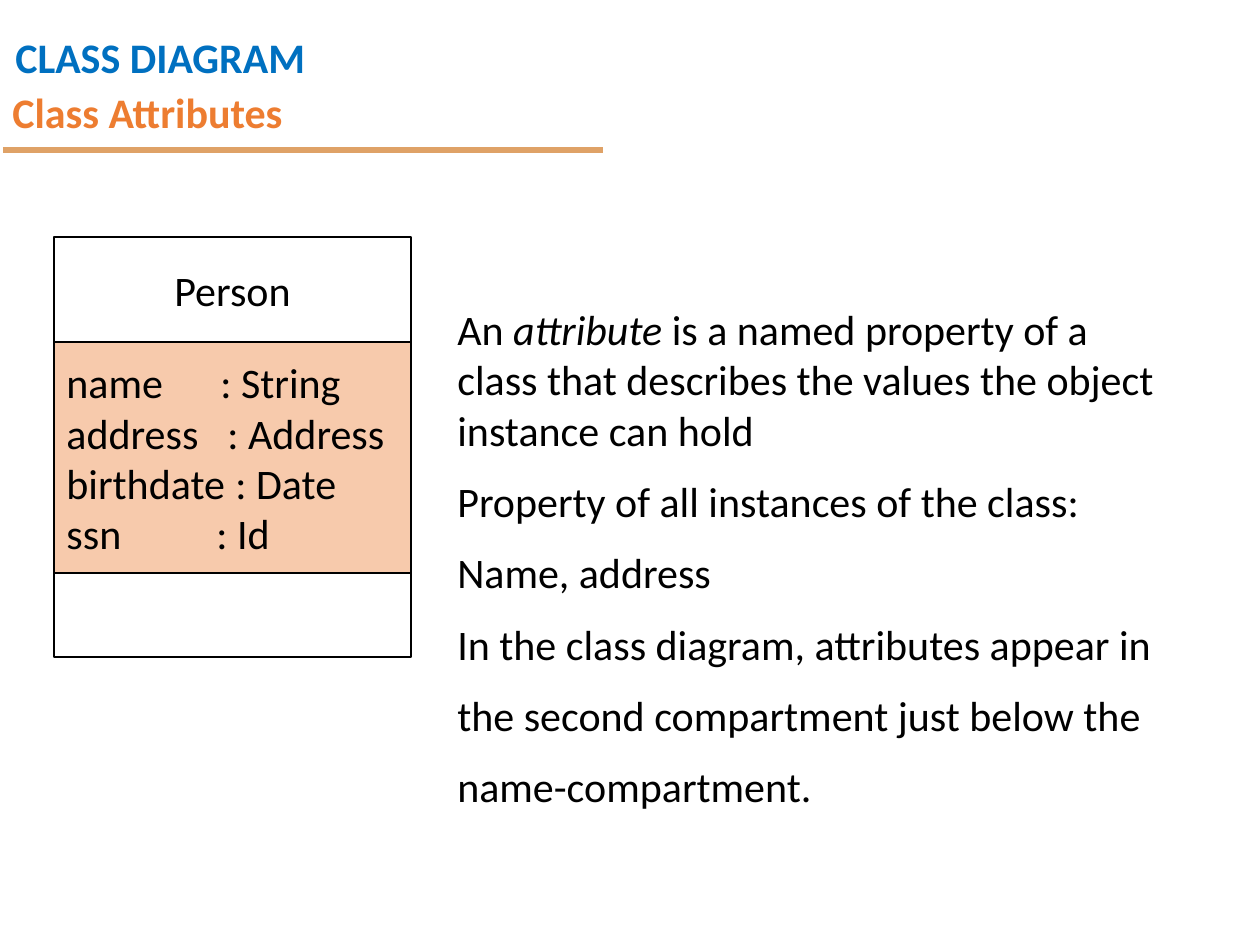
from lxml import etree
from pptx import Presentation
from pptx.dml.color import RGBColor
from pptx.enum.shapes import MSO_CONNECTOR, MSO_SHAPE
from pptx.enum.text import MSO_ANCHOR, PP_ALIGN
from pptx.oxml.ns import qn
from pptx.util import Emu, Pt

SCALE = 914400 // 126
COLORS = {
    "heading": "0070C0",
    "title": "ED7D31",
    "rule": "DFA267",
    "highlight": "F7CAAC",
    "plain": "FFFFFF",
    "ink": "000000",
}
HEADINGS = [
    ("CLASS DIAGRAM", "heading", (3, 0, 932, 89), 1.5, MSO_ANCHOR.TOP),
    ("Class Attributes", "title", (0, 78, 1081, 73), 0.9, MSO_ANCHOR.MIDDLE),
]
ATTRIBUTES = [
    ("name", ": String", 154),
    ("address", ": Address", 161),
    ("birthdate", ": Date", 169),
    ("ssn", ": Id", 150),
]
COMPARTMENTS = [
    ("Person", "plain", 105),
    ("\n".join(f"{name}\t{kind}" for name, kind, _ in ATTRIBUTES), "highlight", 231),
    ("", "plain", 84),
]
CLASS_LEFT, CLASS_TOP, CLASS_WIDTH = 54, 237, 357
EXPLANATION = [
    ([("An ", False), ("attribute", True), (" is a named property of a", False)], 0),
    ([("class that describes the values the object instance can hold", False)], 0),
    ([("Property of all instances of the class:", False)], 12),
    ([("Name, address", False)], 12),
    ([("In the class diagram, attributes appear in", False)], 12),
    ([("the second compartment just below the", False)], 12),
    ([("name-compartment.", False)], 12),
]


def px(value):
    return Emu(value * SCALE)


def color(name):
    return RGBColor.from_string(COLORS[name])


def style_run(run, color_name, bold=False, italic=False):
    run.font.name = "Calibri"
    run.font.size = Pt(24)
    run.font.bold = bold
    run.font.italic = italic
    run.font.color.rgb = color(color_name)


def add_text_box(slide, box, anchor=MSO_ANCHOR.TOP):
    text_frame = slide.shapes.add_textbox(*map(px, box)).text_frame
    text_frame.word_wrap = True
    text_frame.vertical_anchor = anchor
    return text_frame


def add_headings(slide):
    for text, color_name, box, spacing, anchor in HEADINGS:
        text_frame = add_text_box(slide, box, anchor)
        text_frame.text = text
        paragraph = text_frame.paragraphs[0]
        paragraph.line_spacing = spacing
        style_run(paragraph.runs[0], color_name, bold=True)
    rule = slide.shapes.add_connector(
        MSO_CONNECTOR.STRAIGHT, px(3), px(150), px(603), px(150))
    rule.line.color.rgb = color("rule")
    rule.line.width = Pt(3)
    etree.SubElement(rule._element.spPr, qn("a:effectLst"))


def add_tab_stop(paragraph, position):
    tabs = etree.SubElement(paragraph._p.get_or_add_pPr(), qn("a:tabLst"))
    etree.SubElement(tabs, qn("a:tab"), pos=str(px(position)), algn="l")


def add_class(slide):
    group = slide.shapes.add_group_shape()
    top = CLASS_TOP
    for text, fill, height in COMPARTMENTS:
        shape = group.shapes.add_shape(
            MSO_SHAPE.RECTANGLE, px(CLASS_LEFT), px(top), px(CLASS_WIDTH), px(height))
        shape.shadow.inherit = False
        shape.fill.solid()
        shape.fill.fore_color.rgb = color(fill)
        shape.line.color.rgb = color("ink")
        shape.line.width = Pt(0.75)
        text_frame = shape.text_frame
        text_frame.text = text
        text_frame.vertical_anchor = MSO_ANCHOR.MIDDLE
        is_list = fill == "highlight"
        for paragraph in text_frame.paragraphs:
            paragraph.alignment = PP_ALIGN.LEFT if is_list else PP_ALIGN.CENTER
            for run in paragraph.runs:
                style_run(run, "ink")
        if is_list:
            for paragraph, (_, _, position) in zip(text_frame.paragraphs, ATTRIBUTES):
                add_tab_stop(paragraph, position)
        top += height


def add_explanation(slide):
    text_frame = add_text_box(slide, (445, 297, 756, 525))
    for index, (pieces, space_before) in enumerate(EXPLANATION):
        paragraph = text_frame.add_paragraph() if index else text_frame.paragraphs[0]
        if space_before:
            paragraph.space_before = Pt(space_before)
        for text, italic in pieces:
            run = paragraph.add_run()
            run.text = text
            style_run(run, "ink", italic=italic)


def main():
    presentation = Presentation()
    presentation.slide_width = px(1260)
    presentation.slide_height = px(945)
    slide = presentation.slides.add_slide(presentation.slide_layouts[6])
    add_headings(slide)
    add_class(slide)
    add_explanation(slide)
    presentation.save("out.pptx")


if __name__ == "__main__":
    main()
